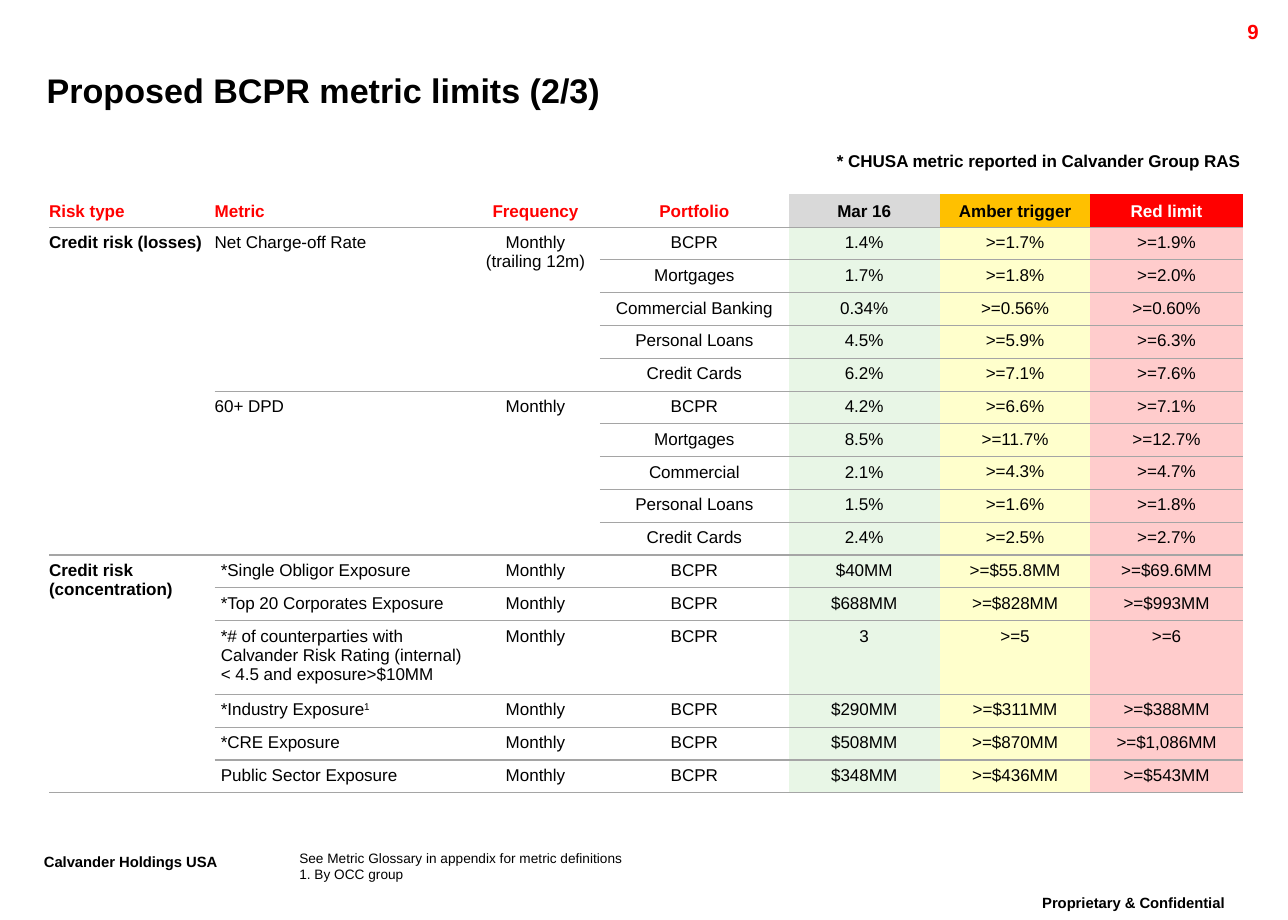
from lxml import etree
from pptx import Presentation
from pptx.dml.color import RGBColor
from pptx.enum.text import MSO_ANCHOR, PP_ALIGN
from pptx.oxml.ns import qn
from pptx.util import Inches, Pt

LEFT, CENTER, RIGHT = PP_ALIGN.LEFT, PP_ALIGN.CENTER, PP_ALIGN.RIGHT
TOP, MIDDLE, BOTTOM = MSO_ANCHOR.TOP, MSO_ANCHOR.MIDDLE, MSO_ANCHOR.BOTTOM

BLACK = RGBColor(0, 0, 0)
WHITE = RGBColor(255, 255, 255)
RED = RGBColor(255, 0, 0)
AMBER = RGBColor(0xFF, 0xC0, 0)
GRAY = RGBColor(0xD9, 0xD9, 0xD9)
GREEN = RGBColor(0xE8, 0xF6, 0xE6)
CREAM = RGBColor(0xFF, 0xFF, 0xCC)
PINK = RGBColor(0xFF, 0xCC, 0xCC)
LINE = RGBColor(0xA5, 0xA5, 0xA5)

FONT = "Arial"
PAD = 0.5             # cell padding in grid units
TIGHT = 0.86          # line spacing
NO_STYLE = "{2D5ABB26-0587-4C30-8999-92F81FD0307C}"

# The slide is a grid of 105 columns by 75 rows
COLS, ROWS = 105, 75
WIDTHS = [13.5, 20.9, 10.5, 15.4, 12.3, 12.3, 12.4]
TALL = 6              # height of a row whose metric takes three lines

HEAD = [
    ("Risk type", LEFT, RED, None),
    ("Metric", LEFT, RED, None),
    ("Frequency", CENTER, RED, None),
    ("Portfolio", CENTER, RED, None),
    ("Mar 16", CENTER, BLACK, GRAY),
    ("Amber trigger", CENTER, BLACK, AMBER),
    ("Red limit", CENTER, WHITE, RED),
]

# Risk type -> metric, frequency, rows of portfolio and values
# A caret marks the start of a superscript
LOSSES = [
    ("Net Charge-off Rate", "Monthly\n(trailing 12m)", [
        ("BCPR", "1.4%", ">=1.7%", ">=1.9%"),
        ("Mortgages", "1.7%", ">=1.8%", ">=2.0%"),
        ("Commercial Banking", "0.34%", ">=0.56%", ">=0.60%"),
        ("Personal Loans", "4.5%", ">=5.9%", ">=6.3%"),
        ("Credit Cards", "6.2%", ">=7.1%", ">=7.6%")]),
    ("60+ DPD", "Monthly", [
        ("BCPR", "4.2%", ">=6.6%", ">=7.1%"),
        ("Mortgages", "8.5%", ">=11.7%", ">=12.7%"),
        ("Commercial", "2.1%", ">=4.3%", ">=4.7%"),
        ("Personal Loans", "1.5%", ">=1.6%", ">=1.8%"),
        ("Credit Cards", "2.4%", ">=2.5%", ">=2.7%")]),
]
EXPOSURES = [
    ("*Single Obligor Exposure", "$40MM", ">=$55.8MM", ">=$69.6MM"),
    ("*Top 20 Corporates Exposure", "$688MM", ">=$828MM", ">=$993MM"),
    ("*# of counterparties with Calvander Risk Rating (internal) "
     "< 4.5 and exposure>$10MM", "3", ">=5", ">=6"),
    ("*Industry Exposure^1", "$290MM", ">=$311MM", ">=$388MM"),
    ("*CRE Exposure", "$508MM", ">=$870MM", ">=$1,086MM"),
    ("Public Sector Exposure", "$348MM", ">=$436MM", ">=$543MM"),
]
RISKS = [
    ("Credit risk (losses)", LOSSES),
    ("Credit risk (concentration)",
     [(name, "Monthly", [("BCPR", *vals)]) for name, *vals in EXPOSURES]),
]


def unit(n):
    return Inches(n / 10)


def raise_run(run):
    run.font._element.set("baseline", "30000")


def write(frame, text, size, color=BLACK, bold=False, align=LEFT, space=None):
    """Fill a text frame, one paragraph for each line."""
    for i, line in enumerate(text.split("\n")):
        para = frame.add_paragraph() if i else frame.paragraphs[0]
        para.alignment = align
        if space:
            para.line_spacing = space
        font = para.font
        font.name, font.size, font.bold = FONT, Pt(size), bold
        font.color.rgb = color
        for j, part in enumerate(line.split("^")):
            run = para.add_run()
            run.text = part
            if j:
                raise_run(run)


def label(slide, box, text, size, pad=True, anchor=TOP, **style):
    shape = slide.shapes.add_textbox(*map(unit, box))
    frame = shape.text_frame
    frame.word_wrap = True
    frame.vertical_anchor = anchor
    if not pad:
        frame.margin_left = frame.margin_right = 0
        frame.margin_top = frame.margin_bottom = 0
    write(frame, text, size, **style)
    return frame


def underline(cell):
    props = cell._tc.get_or_add_tcPr()
    if props.find(qn("a:lnB")) is not None:
        return
    line = etree.Element(qn("a:lnB"), w=str(Pt(0.75)))
    fill = etree.SubElement(line, qn("a:solidFill"))
    etree.SubElement(fill, qn("a:srgbClr"), val=str(LINE))
    props.insert(0, line)


def put(cell, text, fill=None, anchor=TOP, left=PAD, pad=PAD, **style):
    cell.margin_left = unit(left)
    cell.margin_right = cell.margin_top = cell.margin_bottom = unit(pad)
    cell.vertical_anchor = anchor
    if fill:
        cell.fill.solid()
        cell.fill.fore_color.rgb = fill
    else:
        cell.fill.background()
    write(cell.text_frame, text, 10, **style)


def span(table, row, col, count):
    cell = table.cell(row, col)
    if count > 1:
        cell.merge(table.cell(row + count - 1, col))
        underline(cell)
    return cell


def limits(slide, box):
    """Table of metrics with their triggers and limits."""
    total = 1 + sum(len(m[2]) for _, group in RISKS for m in group)
    shape = slide.shapes.add_table(total, len(HEAD), *map(unit, box))
    shape.element.xpath(".//a:tableStyleId")[0].text = NO_STYLE
    table = shape.table
    table.first_row = table.horz_banding = False
    for col, width in zip(table.columns, WIDTHS):
        col.width = unit(width)
    for row in table.rows:
        row.height = unit((box[3] - TALL) / (total - 1))

    # Header
    for col, (text, align, color, fill) in enumerate(HEAD):
        put(table.cell(0, col), text, fill, BOTTOM, 0 if align == LEFT else PAD,
            color=color, bold=True, align=align, space=TIGHT)

    # Risk types, metrics and values
    at = 1
    for risk, group in RISKS:
        count = sum(len(m[2]) for m in group)
        put(span(table, at, 0, count), risk, left=0, bold=True)
        for metric, freq, rows in group:
            many = len(rows) > 1
            put(span(table, at, 1, len(rows)), metric, left=0 if many else PAD)
            put(span(table, at, 2, len(rows)), freq, align=CENTER)
            if len(metric) > 40:
                table.rows[at].height = unit(TALL)
            tight = dict(anchor=MIDDLE, left=0, pad=0, space=TIGHT) if many else {}
            for name, now, amber, red in rows:
                put(table.cell(at, 3), name, align=CENTER)
                put(table.cell(at, 4), now, GREEN, align=CENTER)
                put(table.cell(at, 5), amber, CREAM, align=CENTER, **tight)
                put(table.cell(at, 6), red, PINK, align=CENTER, **tight)
                at += 1

    # Rules, left out inside merged cells
    for row in range(total):
        for col in range(len(HEAD)):
            if row + 1 == total or not table.cell(row + 1, col).is_spanned:
                underline(table.cell(row, col))


def header(slide, box):
    x, y, w, _ = box
    label(slide, (x + 89.8, y, 10, 2.4), "9", 12, color=RED, bold=True, align=RIGHT)
    label(slide, (x, y + 3.8, w, 4.8), "Proposed BCPR metric limits (2/3)", 20,
          pad=False, anchor=MIDDLE, bold=True)
    label(slide, (x + 62.2, y + 10.9, 37.3, 2.5),
          "* CHUSA metric reported in Calvander Group RAS", 10,
          bold=True, align=CENTER, space=TIGHT)


def footer(slide, box):
    x, y, _, _ = box
    owner = label(slide, (x, y, 20, 3.5), "Calvander Holdings USA", 15,
                  bold=True, space=TIGHT)
    secret = label(slide, (x + 78.9, y + 3.4, 21.8, 3.5), "Proprietary & Confidential",
                   15, bold=True, align=CENTER, space=TIGHT)
    for frame in (owner, secret):
        raise_run(frame.paragraphs[0].runs[0])
    label(slide, (x + 21.8, y + 0.2, 54.7, 2.7),
          "See Metric Glossary in appendix for metric definitions\n1. By OCC group",
          8, pad=False)


def main():
    deck = Presentation()
    deck.slide_width, deck.slide_height = unit(COLS), unit(ROWS)
    slide = deck.slides.add_slide(deck.slide_layouts[6])
    header(slide, (3.8, 1.1, 94.8, 12.3))
    limits(slide, (4, 15.85, sum(WIDTHS), 48.7))
    footer(slide, (2.6, 69.1, 100.7, 5.9))
    deck.save("out.pptx")


if __name__ == "__main__":
    main()
